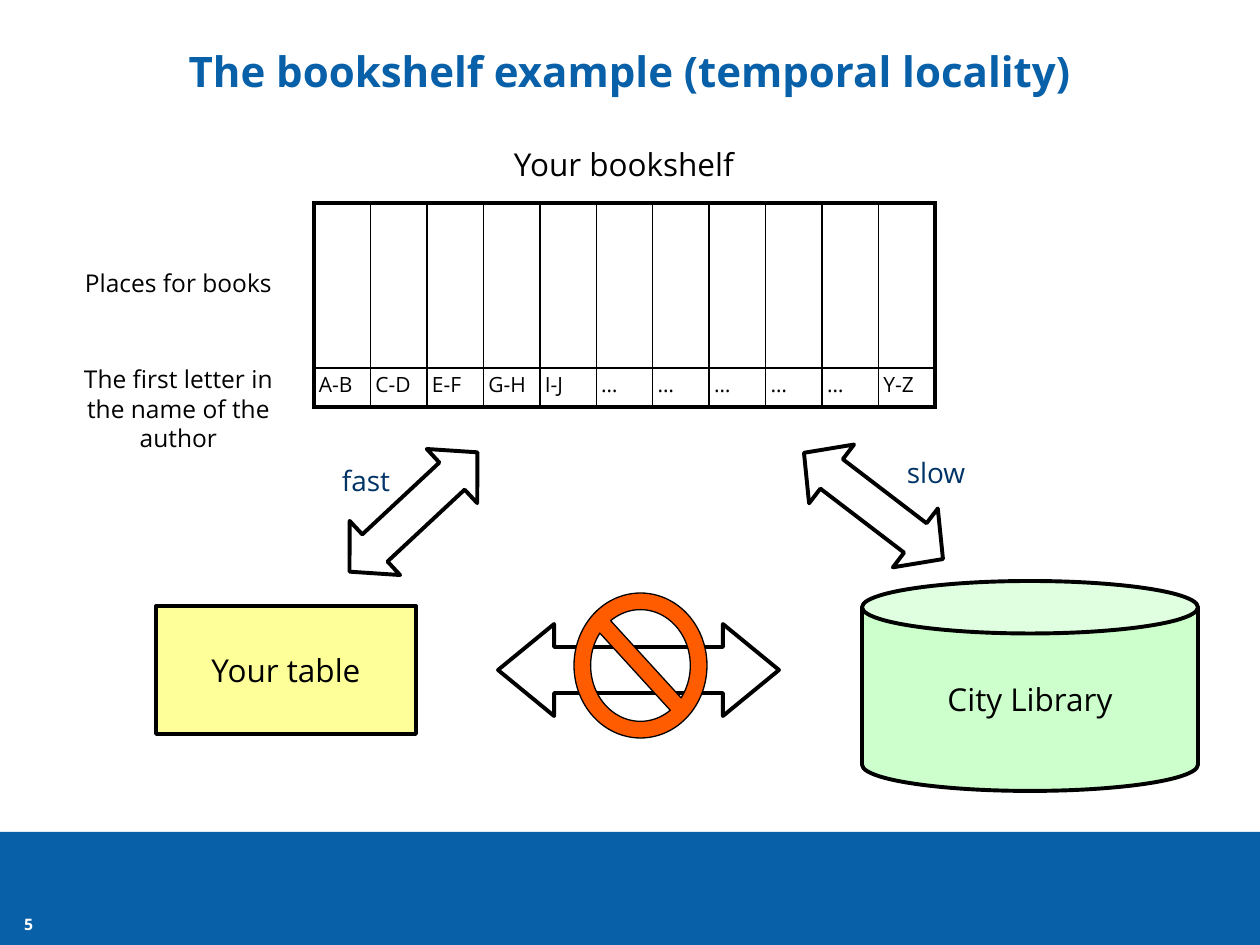
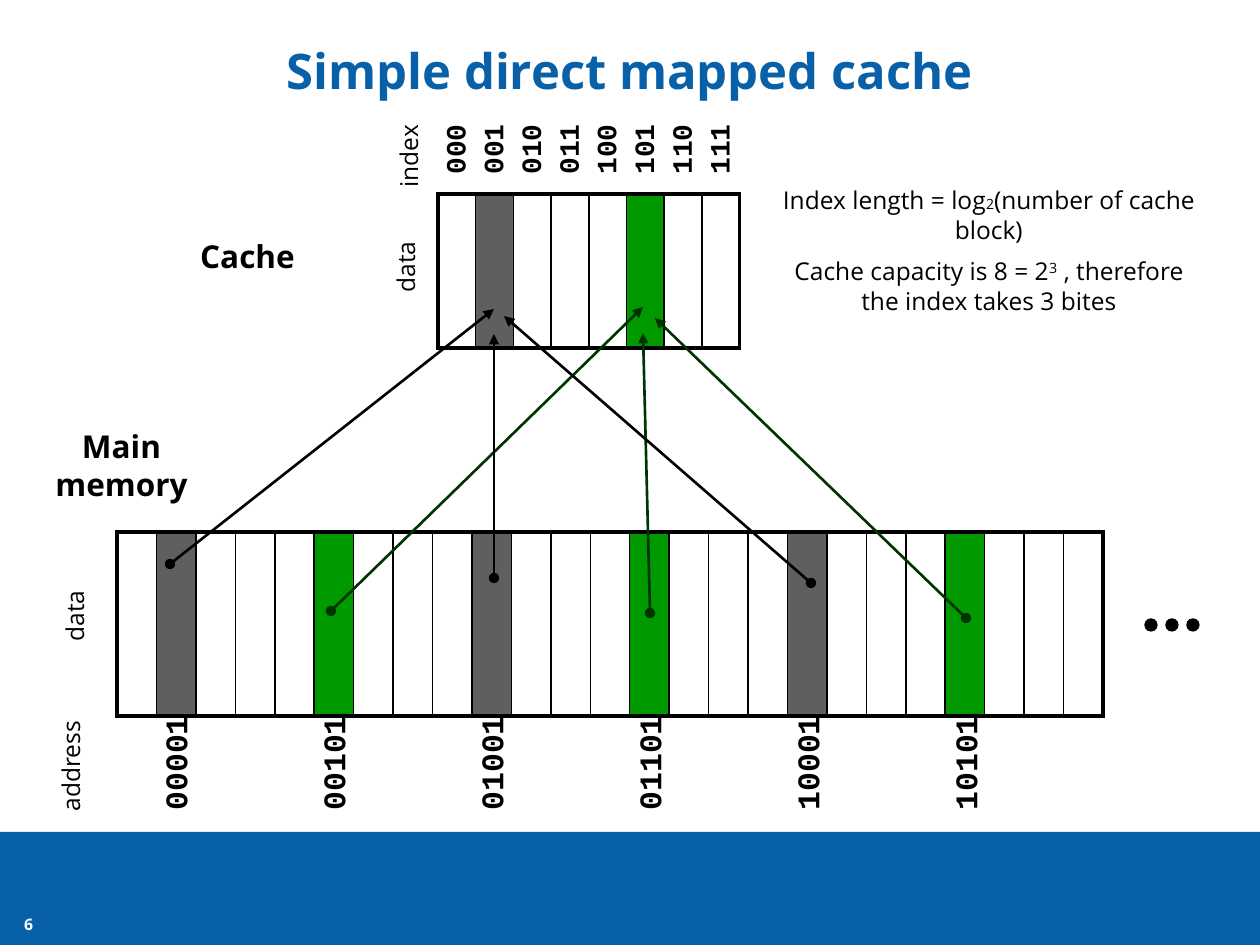
import pptx
import pptx.dml.color
import pptx.enum.shapes
import pptx.enum.text
import pptx.oxml
import pptx.oxml.ns
import pptx.util

RGBColor = pptx.dml.color.RGBColor
SHAPE = pptx.enum.shapes.MSO_SHAPE
ANCHOR = pptx.enum.text.MSO_ANCHOR
ALIGN = pptx.enum.text.PP_ALIGN
Pt = pptx.util.Pt

BLACK = RGBColor(0x00, 0x00, 0x00)
WHITE = RGBColor(0xFF, 0xFF, 0xFF)
BLUE = RGBColor(0x08, 0x60, 0xA8)
NAVY = RGBColor(0x00, 0x33, 0x66)
YELLOW = RGBColor(0xFF, 0xFF, 0x99)
MINT = RGBColor(0xCC, 0xFF, 0xCC)
ORANGE = RGBColor(0xFF, 0x5C, 0x00)
GRAY = RGBColor(0x5F, 0x5F, 0x5F)
GREEN = RGBColor(0x00, 0x99, 0x00)
DARK_GREEN = RGBColor(0x00, 0x33, 0x00)


def px(length):
    return round(length * 914400 / 126)


def add_xml(parent, tag, **attributes):
    child = parent.makeelement(pptx.oxml.ns.qn(tag), attributes)
    parent.append(child)
    return child


class Deck:
    """Holds the shared style and the slide being drawn."""

    sans = "Open Sans"
    mono = "Courier New"
    outer_border = 2.25
    inner_border = 1

    def __init__(self):
        self.presentation = pptx.Presentation()
        self.presentation.slide_width = px(1260)
        self.presentation.slide_height = px(945)
        self.slide = None

    def start_slide(self, title, number, title_size):
        self.slide = self.presentation.slides.add_slide(self.presentation.slide_layouts[6])
        self.shape(SHAPE.RECTANGLE, (0, 832, 1260, 113), BLUE, line_width=None)
        self.text((0, 903, 57, 42), number, 9, color=WHITE, bold=True,
                  anchor=ANCHOR.MIDDLE, margins=(0, 0))
        self.text((50, 21, 1159, 105), title, title_size, color=BLUE, bold=True,
                  anchor=ANCHOR.MIDDLE, line_spacing=0.9)

    def add_words(self, frame, paragraphs, size, color=BLACK, bold=False, name=None, **layout):
        if isinstance(paragraphs, str):
            paragraphs = [[(paragraphs, {})]]
        for index, runs in enumerate(paragraphs):
            paragraph = frame.paragraphs[0] if index == 0 else frame.add_paragraph()
            if index:
                paragraph.space_before = Pt(size / 2)
            for attribute, value in layout.items():
                setattr(paragraph, attribute, value)
            for words, changes in runs:
                run = paragraph.add_run()
                run.text = words
                style = {"name": name or self.sans, "bold": bold,
                         "size": Pt(changes.get("size", size))}
                for attribute, value in style.items():
                    setattr(run.font, attribute, value)
                run.font.color.rgb = color
                if "baseline" in changes:
                    run._r.get_or_add_rPr().set("baseline", changes["baseline"])

    def text(self, box, paragraphs, size, anchor=ANCHOR.TOP, margins=None, rotation=0,
             alignment=ALIGN.CENTER, **style):
        shape = self.slide.shapes.add_textbox(*map(px, box))
        shape.rotation = rotation
        frame = shape.text_frame
        settings = {"word_wrap": True, "vertical_anchor": anchor}
        if margins:
            horizontal, vertical = map(px, margins)
            settings.update(margin_left=horizontal, margin_right=horizontal,
                            margin_top=vertical, margin_bottom=vertical)
        for attribute, value in settings.items():
            setattr(frame, attribute, value)
        self.add_words(frame, paragraphs, size, alignment=alignment, **style)
        return shape

    def side_label(self, left, top, words):
        self.text((left, top, 141, 42), words, 14, rotation=270)

    def binary_label(self, box, digits, size):
        shape = self.text(box, digits, size, anchor=ANCHOR.MIDDLE, rotation=180, bold=True,
                          name=self.mono, alignment=ALIGN.LEFT, line_spacing=0.95)
        shape.text_frame._txBody.bodyPr.set("vert", "eaVert")

    def shape(self, kind, box, fill, line_width=2.25, words="", rotation=0, adjustments=()):
        shape = self.slide.shapes.add_shape(kind, *map(px, box))
        shape.shadow.inherit = False
        shape.rotation = rotation
        for index, value in enumerate(adjustments):
            shape.adjustments[index] = value
        shape.fill.solid()
        shape.fill.fore_color.rgb = fill
        if line_width is None:
            shape.line.fill.background()
        else:
            shape.line.color.rgb = BLACK
            shape.line.width = Pt(line_width)
        if words:
            shape.text_frame.word_wrap = False
            shape.text_frame.vertical_anchor = ANCHOR.MIDDLE
            self.add_words(shape.text_frame, words, 18, alignment=ALIGN.CENTER)

    def double_arrow(self, box, head, rotation=0):
        self.shape(SHAPE.LEFT_RIGHT_ARROW, box, WHITE, rotation=rotation, adjustments=(0.5, head))

    def arrow(self, start, end, color):
        connector = self.slide.shapes.add_connector(
            pptx.enum.shapes.MSO_CONNECTOR.STRAIGHT, *map(px, start + end))
        connector.line.color.rgb = color
        connector.line.width = Pt(1.5)
        line = connector.line._get_or_add_ln()
        add_xml(line, "a:headEnd", type="oval")
        add_xml(line, "a:tailEnd", type="triangle")
        add_xml(connector._element.spPr, "a:effectLst")

    def border(self, cell, side, width):
        properties = cell._tc.get_or_add_tcPr()
        line = add_xml(properties, "a:" + side, w=str(Pt(width)))
        add_xml(add_xml(line, "a:solidFill"), "a:srgbClr", val=str(BLACK))

    def table(self, left, top, width, row_heights, columns, fills=None, labels=()):
        rows = len(row_heights)
        table = self.slide.shapes.add_table(
            rows, columns, *map(px, (left, top, width, sum(row_heights)))).table
        table.first_row = table.horz_banding = False
        for column in table.columns:
            column.width = px(width / columns)
        for row, height in zip(table.rows, row_heights):
            row.height = px(height)
        for r in range(rows):
            for c in range(columns):
                cell = table.cell(r, c)
                edges = {"lnL": c == 0, "lnR": c == columns - 1,
                         "lnT": r == 0, "lnB": r == rows - 1}
                for side, outer in edges.items():
                    self.border(cell, side, self.outer_border if outer else self.inner_border)
                color = (fills or {}).get(c)
                if color is None:
                    cell.fill.background()
                else:
                    cell.fill.solid()
                    cell.fill.fore_color.rgb = color
        for c, label in enumerate(labels):
            cell = table.cell(rows - 1, c)
            margins = {"margin_left": 5, "margin_right": 5, "margin_top": 3, "margin_bottom": 3}
            for attribute, value in margins.items():
                setattr(cell, attribute, px(value))
            self.add_words(cell.text_frame, label, 12, line_spacing=0.95)


def draw_bookshelf(deck):
    deck.start_slide("The bookshelf example (temporal locality)", "5", 24)
    letters = ["A-B", "C-D", "E-F", "G-H", "I-J"] + ["…"] * 5 + ["Y-Z"]
    deck.table(314, 203, 621, (165, 39), len(letters), labels=letters)
    deck.text((52, 358, 253, 102), "The first letter in the name of the author", 14)
    deck.text((52, 262, 253, 42), "Places for books", 14)
    deck.shape(SHAPE.RECTANGLE, (156, 606, 260, 128), YELLOW, words="Your table")
    deck.shape(SHAPE.CAN, (862, 581, 336, 210), MINT, words="City Library", adjustments=(0.25,))
    deck.double_arrow((326, 475, 175, 74), 0.47, rotation=317)
    deck.double_arrow((786, 469, 175, 74), 0.47, rotation=37.4)
    deck.double_arrow((498, 624, 281, 92), 0.61)
    deck.shape(SHAPE.NO_SYMBOL, (574, 593, 133, 145), ORANGE, line_width=0.75,
               adjustments=(0.125,))
    deck.text((301, 457, 130, 47), "fast", 16, color=NAVY)
    deck.text((871, 449, 130, 47), "slow", 16, color=NAVY)
    deck.text((443, 139, 362, 50), "Your bookshelf", 18)


def draw_cache(deck):
    deck.start_slide("Simple direct mapped cache", "6", 28)
    deck.table(438, 194, 302, (154,), 8, fills={1: GRAY, 5: GREEN})
    for index in range(8):
        deck.binary_label((437 + 37.7 * index, 33, 38, 154), f"{index:03b}", 16)

    marked = range(1, 25, 4)
    colors = {address: GREEN if address % 8 == 5 else GRAY for address in marked}
    deck.table(117, 532, 986, (184,), 25, fills=colors)
    arrows = [
        ((331, 611), (643, 307), DARK_GREEN),
        ((650, 613), (643, 333), DARK_GREEN),
        ((966, 618), (655, 318), DARK_GREEN),
        ((170, 564), (494, 309), BLACK),
        ((494, 578), (494, 334), BLACK),
        ((811, 583), (504, 316), BLACK),
    ]
    for start, end, color in arrows:
        deck.arrow(start, end, color)
    for index in range(3):
        deck.shape(SHAPE.OVAL, (1145 + 21 * index, 619, 12, 12), BLACK, line_width=0.75)
    for index, address in enumerate(marked):
        deck.binary_label((157 + 158 * index, 703, 39, 120), f"{address:05b}", 18)

    deck.text((769, 179, 440, 145), [
        [("Index length = log", {}), ("2", {"size": 8}), ("(number of cache block)", {})],
        [("Cache capacity is 8 = 2", {}), ("3", {"baseline": "30000"}),
         (" , therefore the index takes 3 bites", {})],
    ], 14)
    deck.text((155, 231, 185, 50), "Cache", 18, bold=True)
    deck.text((29, 421, 185, 88), "Main memory", 18, bold=True)
    deck.side_label(0, 745, "address")
    deck.side_label(338, 135, "index")
    deck.side_label(335, 246, "data")
    deck.side_label(4, 595, "data")


deck = Deck()
draw_bookshelf(deck)
draw_cache(deck)
deck.presentation.save("out.pptx")
